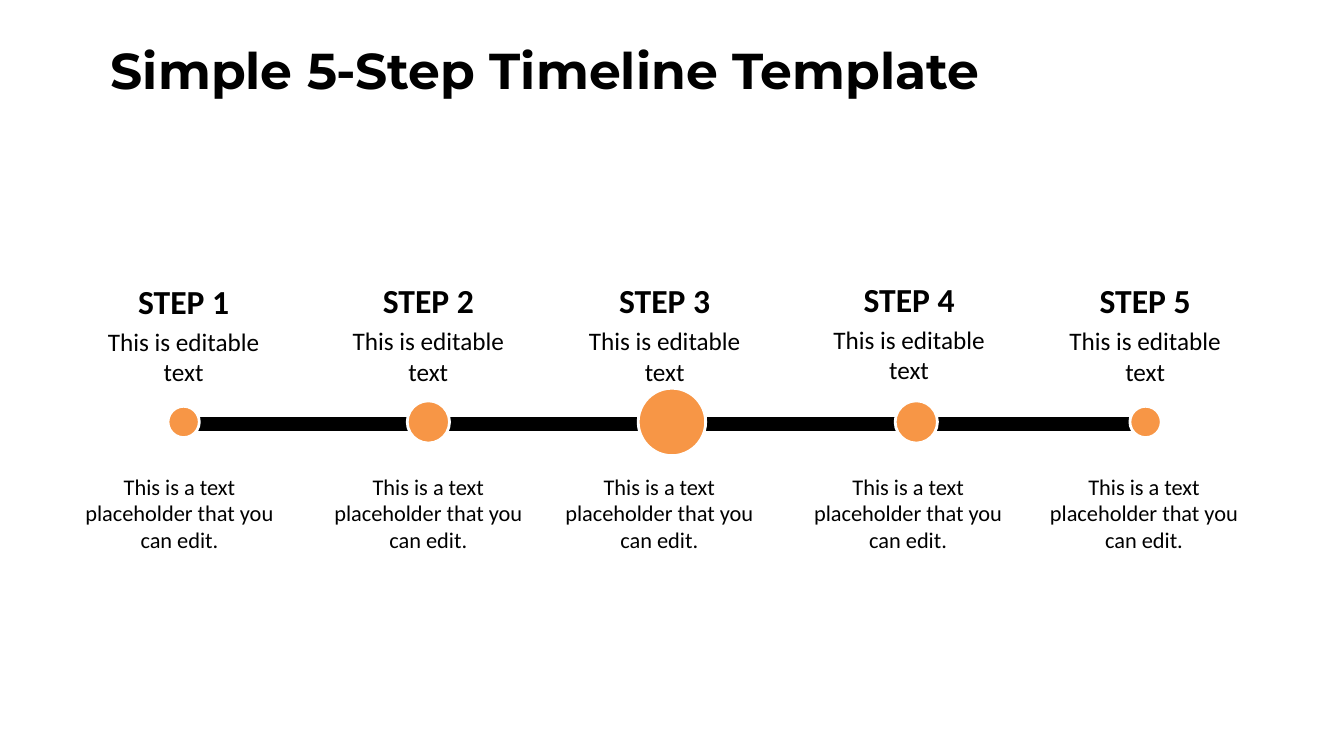
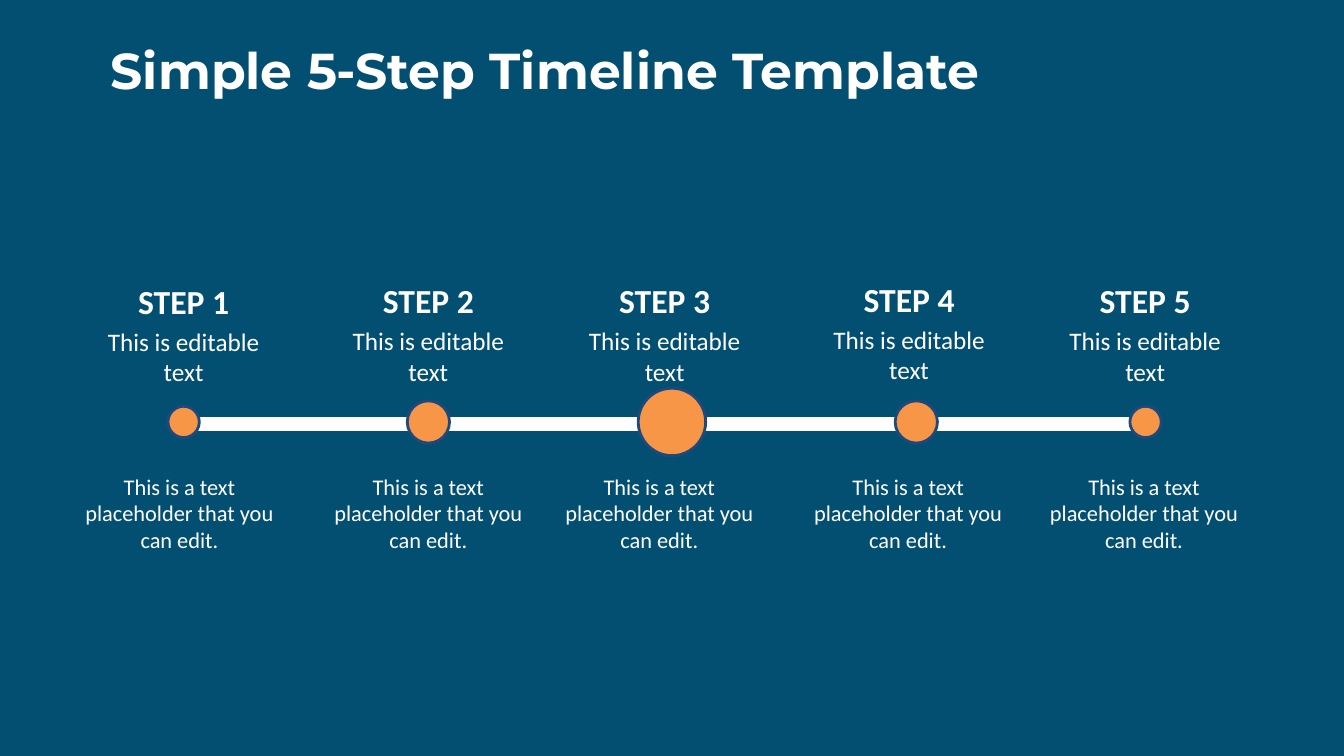
from dataclasses import dataclass

from lxml.etree import SubElement
from pptx import Presentation
from pptx.dml.color import RGBColor
from pptx.enum.shapes import MSO_CONNECTOR, MSO_SHAPE
from pptx.enum.text import MSO_ANCHOR, MSO_AUTO_SIZE, PP_ALIGN
from pptx.oxml.ns import qn
from pptx.util import Pt

# Content
TITLE = "Simple 5-Step Timeline Template"
SUMMARY = "This is editable text"
DETAIL = "This is a text placeholder that you can edit."
# Step name, marker centre, marker diameter, label centre, label top, detail centre
STEPS = [
    ("STEP 1", 131.2, 22.4, 131.2, 197.3, 128.2),
    ("STEP 2", 306, 30.2, 306, 196.6, 306),
    ("STEP 3", 480, 48.2, 474.8, 196.6, 471),
    ("STEP 4", 654.5, 30.2, 649.4, 195.8, 648.7),
    ("STEP 5", 818.3, 22.4, 818, 196.6, 817.2),
]


# Theme
@dataclass(frozen=True)
class Theme:
    background: str
    ink: str
    marker_line: str
    marker: str = "F79646"
    title_font: str = "Montserrat"
    body_font: str = "Calibri"
    title_size: int = 36
    step_size: int = 24
    summary_size: int = 18
    detail_size: int = 16
    bar_width: int = 10
    marker_line_width: int = 2


THEMES = [
    Theme(background="FFFFFF", ink="000000", marker_line="FFFFFF"),
    Theme(background="024F72", ink="FFFFFF", marker_line="1F497D"),
]

# Layout, in points
SLIDE_WIDTH, SLIDE_HEIGHT = 960, 540
TITLE_BOX = (69.8, 21.6, 773.3, 56.2)
TITLE_INSETS = (9.4, 5)
BAR_START, BAR_END, BAR_Y = 134.6, 816.5, 302.6
MARKER_Y = 301.4
STEP_WIDTH, STEP_HEIGHT = 117.4, 36
SUMMARY_WIDTH, SUMMARY_HEIGHT, SUMMARY_DROP = 132.5, 51.8, 32.4
DETAIL_WIDTH, DETAIL_HEIGHT, DETAIL_TOP = 151.2, 62.6, 334.1


def add_text(slide, text, box, *, font, size, color, bold=False, align=PP_ALIGN.CENTER,
             anchor=MSO_ANCHOR.TOP, wrap=True, grow=False, insets=(7.2, 3.6)):
    shape = slide.shapes.add_textbox(*map(Pt, box))
    frame = shape.text_frame
    frame.word_wrap = wrap
    frame.auto_size = MSO_AUTO_SIZE.SHAPE_TO_FIT_TEXT if grow else MSO_AUTO_SIZE.NONE
    frame.vertical_anchor = anchor
    frame.margin_left = frame.margin_right = Pt(insets[0])
    frame.margin_top = frame.margin_bottom = Pt(insets[1])
    paragraph = frame.paragraphs[0]
    paragraph.alignment = align
    run = paragraph.add_run()
    run.text = text
    run.font.name = font
    run.font.size = Pt(size)
    run.font.bold = bold
    run.font.color.rgb = RGBColor.from_string(color)


def add_bar(slide, theme):
    bar = slide.shapes.add_connector(
        MSO_CONNECTOR.STRAIGHT, Pt(BAR_START), Pt(BAR_Y), Pt(BAR_END), Pt(BAR_Y))
    bar.line.color.rgb = RGBColor.from_string(theme.ink)
    bar.line.width = Pt(theme.bar_width)
    SubElement(bar.element.spPr, qn("a:effectLst"))


def add_marker(slide, theme, center, diameter):
    marker = slide.shapes.add_shape(
        MSO_SHAPE.OVAL, Pt(center - diameter / 2), Pt(MARKER_Y - diameter / 2),
        Pt(diameter), Pt(diameter))
    marker.shadow.inherit = False
    marker.fill.solid()
    marker.fill.fore_color.rgb = RGBColor.from_string(theme.marker)
    marker.line.color.rgb = RGBColor.from_string(theme.marker_line)
    marker.line.width = Pt(theme.marker_line_width)


def centered_box(center, top, width, height):
    return center - width / 2, top, width, height


def build_timeline(presentation, theme):
    slide = presentation.slides.add_slide(presentation.slide_layouts[6])
    slide.background.fill.solid()
    slide.background.fill.fore_color.rgb = RGBColor.from_string(theme.background)
    body = {"font": theme.body_font, "color": theme.ink}

    # Bar, then a marker and three texts for each step
    add_bar(slide, theme)
    for name, marker_x, diameter, label_x, label_top, detail_x in STEPS:
        add_marker(slide, theme, marker_x, diameter)
        add_text(slide, name, centered_box(label_x, label_top, STEP_WIDTH, STEP_HEIGHT),
                 size=theme.step_size, bold=True, wrap=False, grow=True, **body)
        add_text(slide, SUMMARY,
                 centered_box(label_x, label_top + SUMMARY_DROP, SUMMARY_WIDTH, SUMMARY_HEIGHT),
                 size=theme.summary_size, grow=True, **body)
        add_text(slide, DETAIL,
                 centered_box(detail_x, DETAIL_TOP, DETAIL_WIDTH, DETAIL_HEIGHT),
                 size=theme.detail_size, **body)

    # Title
    add_text(slide, TITLE, TITLE_BOX, font=theme.title_font, size=theme.title_size,
             color=theme.ink, bold=True, align=PP_ALIGN.LEFT,
             anchor=MSO_ANCHOR.MIDDLE, insets=TITLE_INSETS)


def main():
    presentation = Presentation()
    presentation.slide_width = Pt(SLIDE_WIDTH)
    presentation.slide_height = Pt(SLIDE_HEIGHT)
    for theme in THEMES:
        build_timeline(presentation, theme)
    presentation.save("out.pptx")


if __name__ == "__main__":
    main()
